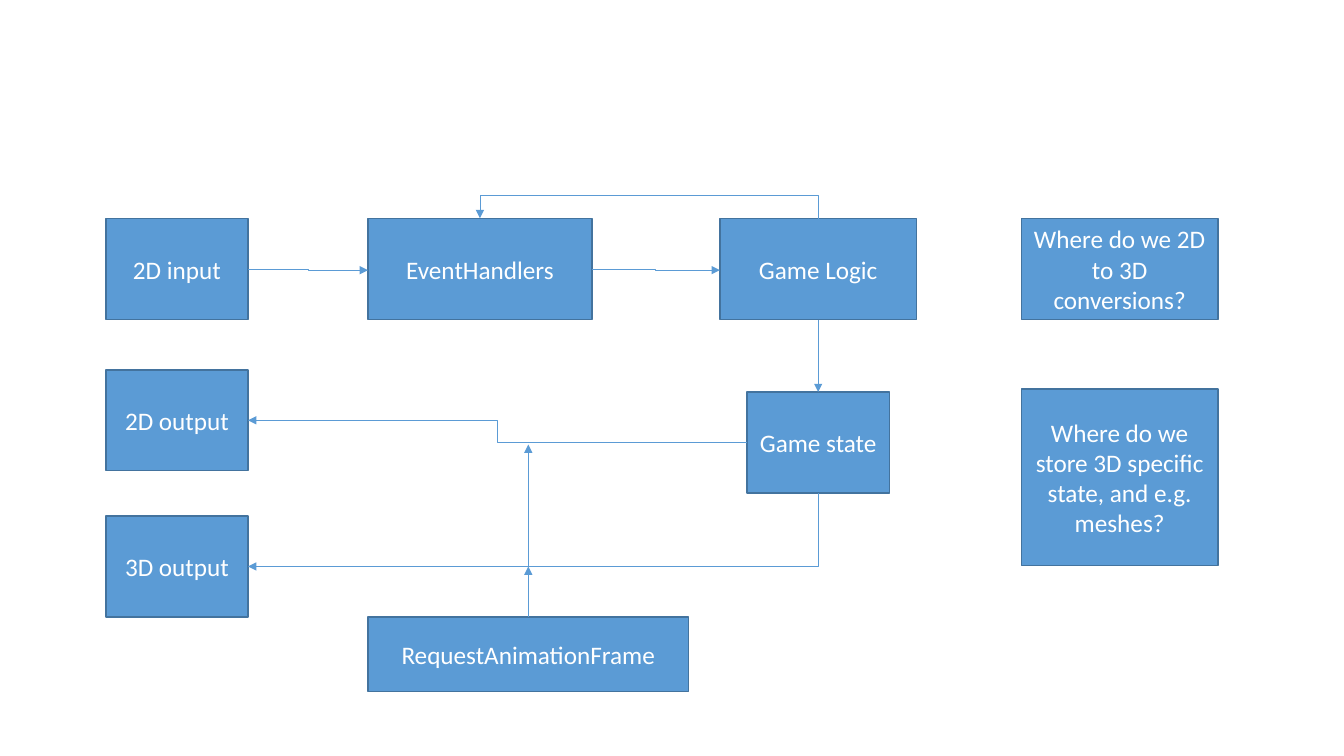
"""Build the game architecture flow slide: inputs, logic, state and outputs."""
from dataclasses import dataclass

from lxml import etree
from pptx import Presentation
from pptx.dml.color import RGBColor
from pptx.enum.shapes import MSO_CONNECTOR, MSO_SHAPE
from pptx.enum.text import MSO_ANCHOR, PP_ALIGN
from pptx.oxml.ns import qn
from pptx.util import Inches, Pt

RECT = MSO_SHAPE.RECTANGLE
STRAIGHT, ELBOW = MSO_CONNECTOR.STRAIGHT, MSO_CONNECTOR.ELBOW
CENTER, MIDDLE = PP_ALIGN.CENTER, MSO_ANCHOR.MIDDLE


@dataclass(frozen=True)
class Theme:
    fill: RGBColor = RGBColor.from_string("5B9BD5")
    border: RGBColor = RGBColor.from_string("43739E")
    text: RGBColor = RGBColor.from_string("FFFFFF")
    font: str = "Calibri"
    size: Pt = Pt(18)
    border_width: Pt = Pt(1)
    arrow_width: Pt = Pt(0.5)


def add_box(s, text, left, top, width, height):
    sp = s.shapes.add_shape(RECT, *map(Inches, (left, top, width, height)))
    sp.shadow.inherit = False
    sp.fill.solid()
    sp.fill.fore_color.rgb = theme.fill
    sp.line.color.rgb = theme.border
    sp.line.width = theme.border_width
    tf = sp.text_frame
    tf.word_wrap = True
    tf.vertical_anchor = MIDDLE
    p = tf.paragraphs[0]
    p.text = text
    p.alignment = CENTER
    p.font.name, p.font.size = theme.font, theme.size
    p.font.color.rgb = theme.text


def add_arrow(s, kind, begin, end, tip="tailEnd"):
    cx = s.shapes.add_connector(kind, *map(Inches, (*begin, *end)))
    cx.line.color.rgb = theme.fill
    cx.line.width = theme.arrow_width
    etree.SubElement(cx.line._get_or_add_ln(), qn(f"a:{tip}"), type="triangle")
    etree.SubElement(cx._element.spPr, qn("a:effectLst"))
    return cx


theme = Theme()
prs = Presentation()
prs.slide_width, prs.slide_height = Inches(13.33), Inches(7.5)
s = prs.slides.add_slide(prs.slide_layouts[6])

io_x, handler_x, logic_x, note_x = 1.05, 3.65, 7.14, 10.13
small_w, handler_w, wide_w, frame_w = 1.41, 2.22, 1.95, 3.18
flow_y, out_2d_y, state_y, out_3d_y, frame_y = 2.17, 3.67, 3.89, 5.12, 6.12
box_h, frame_h = 1, 0.74
state_x = logic_x + (wide_w - small_w) / 2

for text, left, top, width, height in (
    ("2D input", io_x, flow_y, small_w, box_h),
    ("EventHandlers", handler_x, flow_y, handler_w, box_h),
    ("Game Logic", logic_x, flow_y, wide_w, box_h),
    ("Game state", state_x, state_y, small_w, box_h),
    ("2D output", io_x, out_2d_y, small_w, box_h),
    ("3D output", io_x, out_3d_y, small_w, box_h),
    ("RequestAnimationFrame", handler_x, frame_y, frame_w, frame_h),
    ("Where do we 2D to 3D conversions?", note_x, flow_y, wide_w, box_h),
    ("Where do we store 3D specific state, and e.g. meshes?",
     note_x, 3.86, wide_w, 1.75),
):
    add_box(s, text, left, top, width, height)

io_right, state_mid = io_x + small_w, state_x + small_w / 2
handler_mid, frame_mid = handler_x + handler_w / 2, handler_x + frame_w / 2
flow_mid, state_row = flow_y + box_h / 2, state_y + box_h / 2
out_2d_row, out_3d_row = out_2d_y + box_h / 2, out_3d_y + box_h / 2

for kind, begin, end in (
    (ELBOW, (io_right, flow_mid), (handler_x, flow_mid + 0.01)),
    (ELBOW, (handler_x + handler_w, flow_mid), (logic_x, flow_mid + 0.01)),
    (STRAIGHT, (state_mid, flow_y + box_h), (state_mid, state_y)),
    (ELBOW, (state_x, state_row), (io_right, out_2d_row)),
    (STRAIGHT, (frame_mid, frame_y), (frame_mid, out_3d_row)),
    (STRAIGHT, (frame_mid, out_3d_row), (frame_mid, state_row + 0.02)),
):
    add_arrow(s, kind, begin, end)

corner = add_arrow(s, ELBOW, (io_right, out_3d_row),
                   (state_mid, state_y + box_h), tip="headEnd")
corner._element.spPr.find(qn("a:prstGeom")).set("prst", "bentConnector2")

loop_mid, half_span = (handler_mid + state_mid) / 2, (state_mid - handler_mid) / 2
loop = add_arrow(s, ELBOW, (loop_mid - 0.005, flow_y + half_span),
                 (loop_mid + 0.005, flow_y - half_span))
loop._element.spPr.find(qn("a:xfrm")).set("rot", str(270 * 60000))
guides = loop._element.spPr.find(qn("a:prstGeom")).get_or_add_avLst()
etree.SubElement(guides, qn("a:gd"), name="adj1", fmla="val 2400000")

prs.save("out.pptx")
